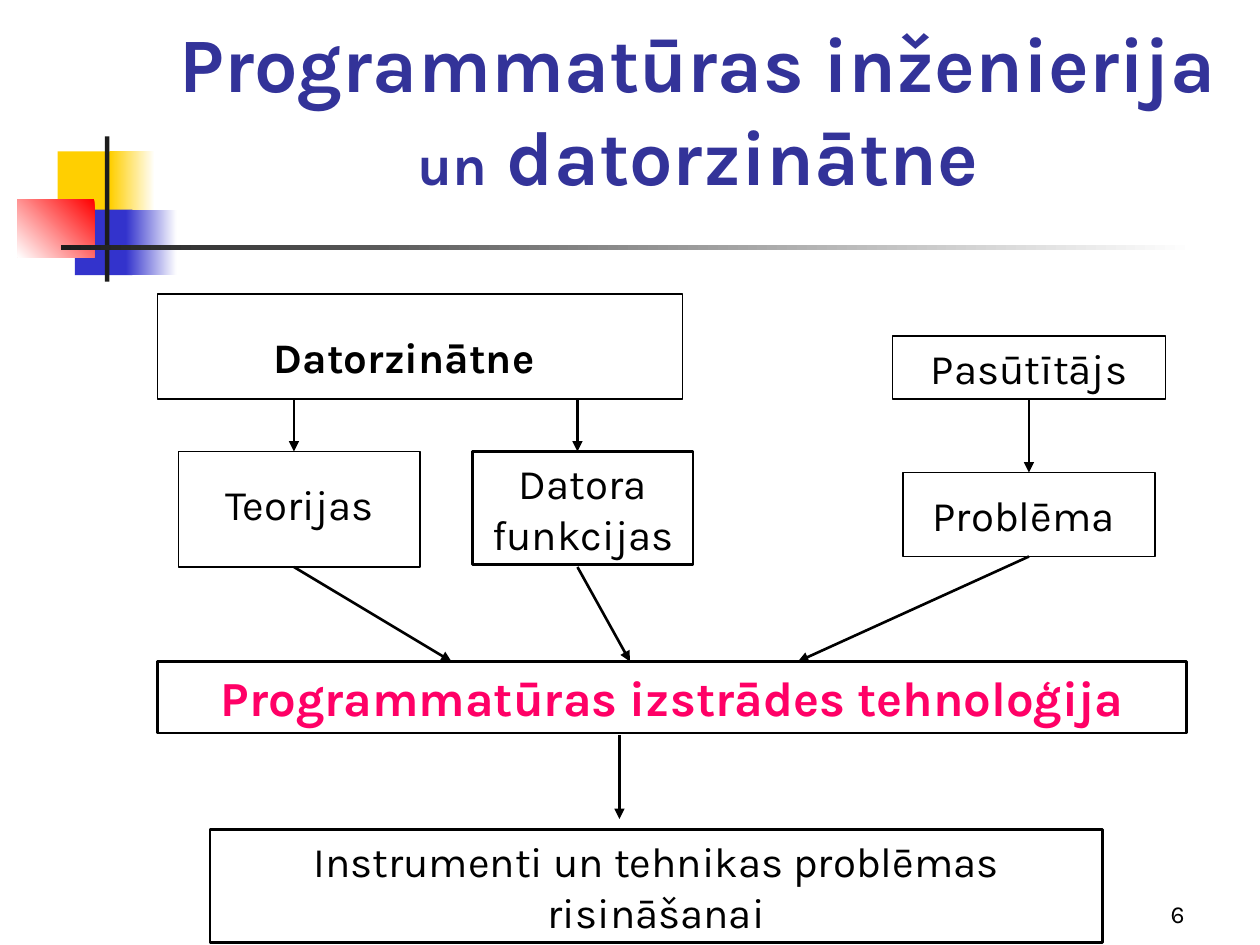
from typing import NamedTuple, Optional

from lxml.etree import SubElement
from pptx import Presentation
from pptx.dml.color import RGBColor
from pptx.enum.shapes import MSO_CONNECTOR as Connector, MSO_SHAPE as Shape
from pptx.enum.text import MSO_ANCHOR as Anchor, PP_ALIGN as Align
from pptx.oxml.ns import qn
from pptx.util import Pt

FONT = "Karla"
BLACK, WHITE = "000000", "FFFFFF"
YELLOW, BLUE, RED, CHARCOAL = "FFCF01", "3333CC", "FF0000", "1C1C1C"
TITLE_COLOR, PINK = "333399", "FF0066"
TOP, BOTTOM = 0, 2


class Area(NamedTuple):
    left: float
    top: float
    width: float
    height: float


class Decoration(NamedTuple):
    area: Area
    start: str
    end: Optional[str] = None
    angle: float = 0


class Box(NamedTuple):
    key: str
    area: Area
    line_width: float
    text: str = ""
    size: float = 24
    color: str = BLACK
    bold: bool = False


class Label(NamedTuple):
    text: str
    area: Area
    size: float = 24
    bold: bool = False
    align: Align = Align.CENTER
    anchor: Anchor = Anchor.TOP


class Arrow(NamedTuple):
    start: tuple[float, float]
    end: tuple[float, float]
    source: Optional[str] = None
    target: Optional[str] = None


DECORATIONS = [
    Decoration(Area(33, 86.5, 35, 37.5), YELLOW),
    Decoration(Area(63, 86.5, 25.5, 37.5), YELLOW, WHITE),
    Decoration(Area(42.75, 119.75, 33, 37.5), BLUE),
    Decoration(Area(72, 119.75, 29, 37.5), BLUE, WHITE),
    Decoration(Area(10, 114, 44, 33), RED, WHITE, 225),
    Decoration(Area(60, 78, 2.5, 83), CHARCOAL),
    Decoration(Area(35, 140.25, 648, 2.5), CHARCOAL, WHITE),
]

BOXES = [
    Box("customer", Area(510, 192, 156, 36), 0.75, "Pasūtītājs"),
    Box("problem", Area(516, 270, 144, 48), 0.75),
    Box("technology", Area(90, 378, 588, 41), 1.5,
        "Programmatūras izstrādes tehnoloģija", 28, PINK, True),
    Box("tools", Area(120, 474, 510, 64.75), 1.5,
        "Instrumenti un tehnikas problēmas risināšanai"),
    Box("functions", Area(270, 258, 126, 64.75), 1.5, "Datora funkcijas"),
    Box("theories", Area(102, 258, 138, 66), 0.75),
    Box("computer science", Area(90, 168, 300, 60), 0.75),
]

LABELS = [
    Label("Problēma", Area(516, 276, 138, 36)),
    Label("Datorzinātne", Area(84, 186, 294, 36), bold=True),
    Label("Teorijas", Area(114, 270, 114, 36)),
    Label("6", Area(534, 498, 150, 36), 14, align=Align.RIGHT, anchor=Anchor.BOTTOM),
]

ARROWS = [
    Arrow((588, 228), (588, 270), "customer", "problem"),
    Arrow((168, 228), (168, 258)),
    Arrow((330, 228), (330, 258)),
    Arrow((168, 324), (258, 378)),
    Arrow((330, 324), (360, 378)),
    Arrow((588, 318), (456, 378), "problem"),
    Arrow((354, 420), (354, 468)),
]


def rgb(color: str) -> RGBColor:
    return RGBColor.from_string(color)


def set_font(font, size: float, color: str, bold: bool) -> None:
    font.name, font.size, font.bold = FONT, Pt(size), bold
    font.color.rgb = rgb(color)


def fill_text(shape, text: str, size: float, color: str, bold: bool,
              align=Align.CENTER, anchor=Anchor.TOP):
    """Write one paragraph into the shape and return it."""
    frame = shape.text_frame
    frame.word_wrap = True
    frame.vertical_anchor = anchor
    paragraph = frame.paragraphs[0]
    paragraph.text = text
    paragraph.alignment = align
    set_font(paragraph.font, size, color, bold)
    return paragraph


def add_rectangle(slide, area: Area):
    shape = slide.shapes.add_shape(Shape.RECTANGLE, *map(Pt, area))
    shape.shadow.inherit = False
    return shape


def add_decoration(slide, decoration: Decoration) -> None:
    shape = add_rectangle(slide, decoration.area)
    shape.line.fill.background()
    if decoration.end is None:
        shape.fill.solid()
        shape.fill.fore_color.rgb = rgb(decoration.start)
        return
    shape.fill.gradient()
    shape.fill.gradient_angle = decoration.angle
    for stop, color in zip(shape.fill.gradient_stops, (decoration.start, decoration.end)):
        stop.color.rgb = rgb(color)


def add_box(slide, box: Box):
    shape = add_rectangle(slide, box.area)
    shape.fill.background()
    shape.line.color.rgb = rgb(BLACK)
    shape.line.width = Pt(box.line_width)
    if box.text:
        fill_text(shape, box.text, box.size, box.color, box.bold)
    return shape


def add_label(slide, label: Label) -> None:
    shape = slide.shapes.add_textbox(*map(Pt, label.area))
    fill_text(shape, label.text, label.size, BLACK, label.bold, label.align, label.anchor)


def add_arrow(slide, arrow: Arrow, boxes: dict) -> None:
    connector = slide.shapes.add_connector(
        Connector.STRAIGHT, *map(Pt, arrow.start + arrow.end))
    if arrow.source:
        connector.begin_connect(boxes[arrow.source], BOTTOM)
    if arrow.target:
        connector.end_connect(boxes[arrow.target], TOP)
    connector.line.color.rgb = rgb(BLACK)
    connector.line.width = Pt(1.5)
    line = connector._element.spPr.find(qn("a:ln"))
    SubElement(line, qn("a:tailEnd"), type="triangle")
    SubElement(connector._element.spPr, qn("a:effectLst"))


def add_title(slide) -> None:
    shape = slide.shapes.add_textbox(*map(Pt, Area(78, 7.25, 642, 111)))
    paragraph = fill_text(shape, "Programmatūras inženierija", 44, TITLE_COLOR, True,
                          anchor=Anchor.BOTTOM)
    paragraph.add_line_break()
    for text, size in (("un", 32), (" datorzinātne", 44)):
        run = paragraph.add_run()
        run.text = text
        run.font.size = Pt(size)


def main() -> None:
    presentation = Presentation()
    presentation.slide_width, presentation.slide_height = Pt(720), Pt(540)
    slide = presentation.slides.add_slide(presentation.slide_layouts[6])
    for decoration in DECORATIONS:
        add_decoration(slide, decoration)
    boxes = {box.key: add_box(slide, box) for box in BOXES}
    for label in LABELS:
        add_label(slide, label)
    for arrow in ARROWS:
        add_arrow(slide, arrow, boxes)
    add_title(slide)
    presentation.save("out.pptx")


if __name__ == "__main__":
    main()
